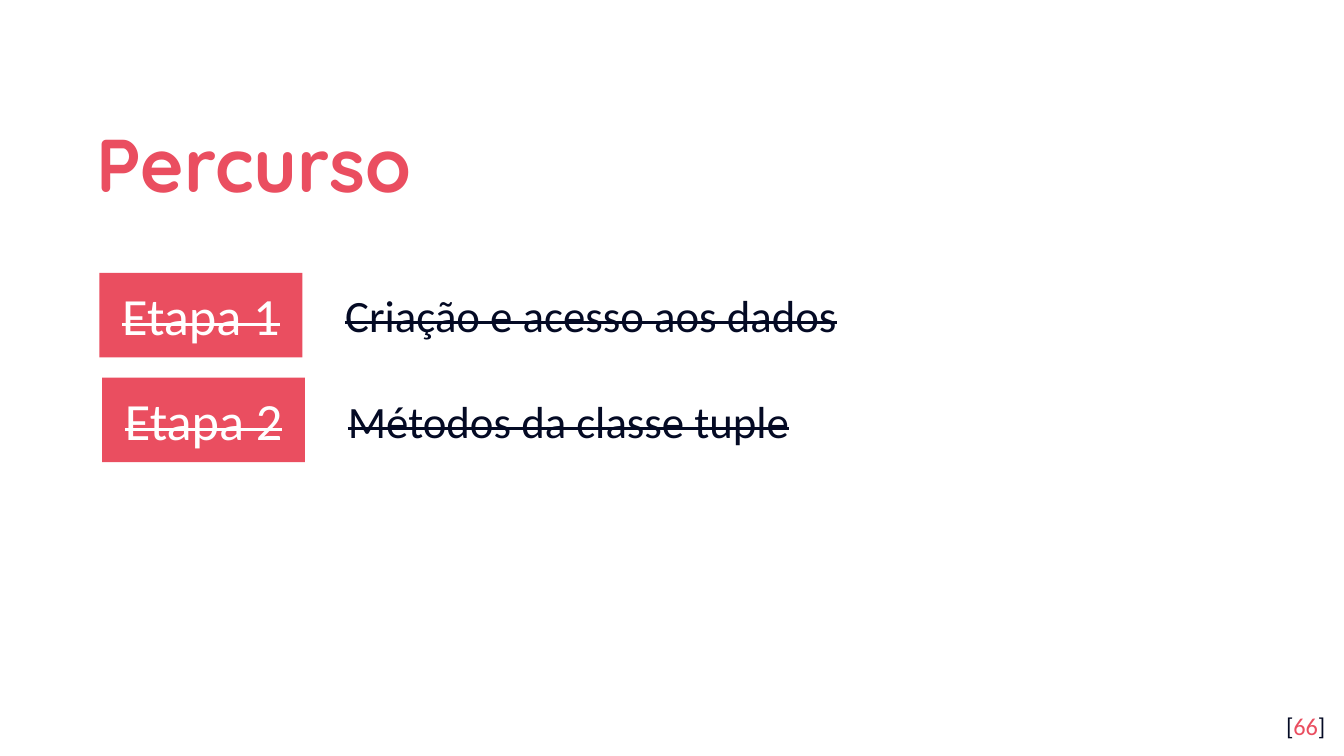
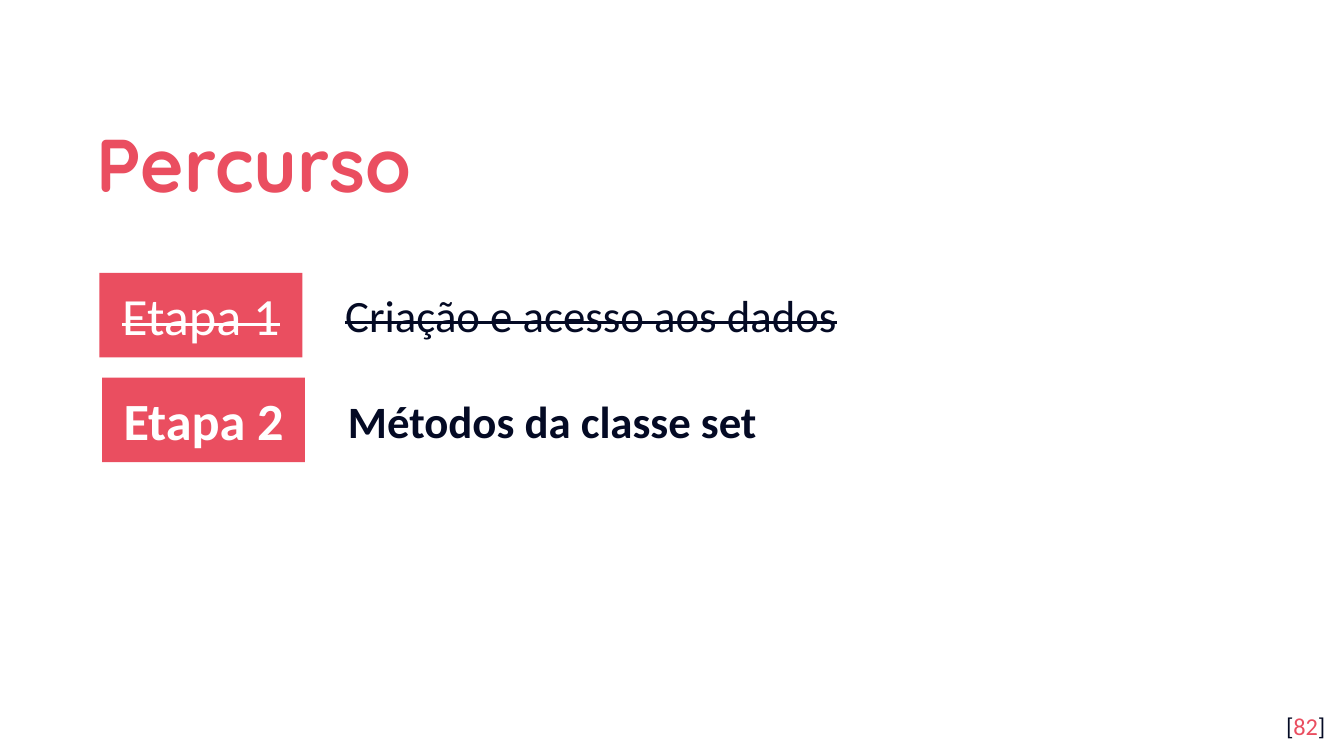
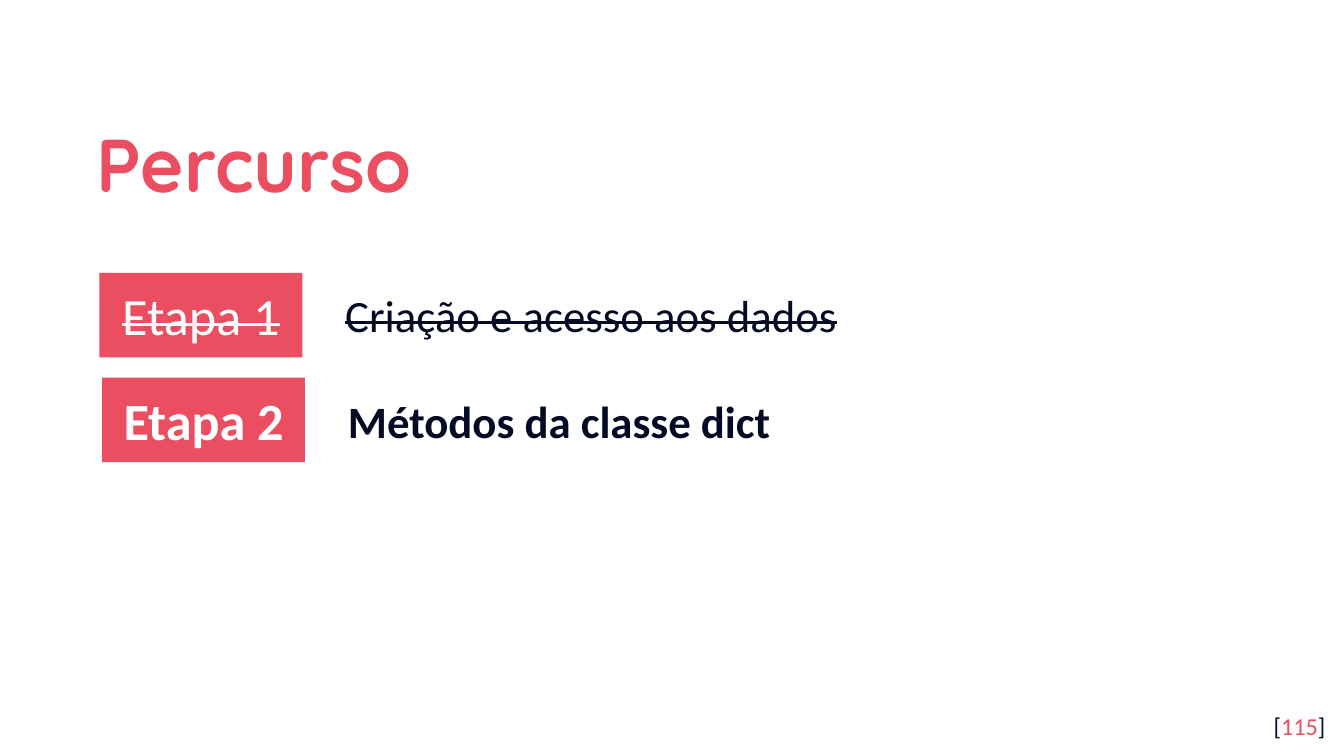
"""Build the three "Percurso" progress slides."""
from dataclasses import dataclass

from pptx import Presentation
from pptx.dml.color import RGBColor
from pptx.enum.shapes import MSO_SHAPE
from pptx.enum.text import MSO_ANCHOR, MSO_AUTO_SIZE, PP_ALIGN
from pptx.slide import Slide
from pptx.text.text import TextFrame, _Paragraph as Paragraph
from pptx.util import Inches, Pt


@dataclass(frozen=True)
class Theme:
    accent: RGBColor = RGBColor.from_string("EA4E60")
    ink: RGBColor = RGBColor.from_string("040A24")
    white: RGBColor = RGBColor.from_string("FFFFFF")
    title_font: str = "Quicksand"
    body_font: str = "Calibri"
    title_size: int = 40
    label_size: int = 28
    topic_size: int = 24
    number_size: int = 13


@dataclass(frozen=True)
class Stage:
    topic: str
    done: bool


@dataclass(frozen=True)
class Page:
    number: int
    stages: tuple[Stage, ...]


THEME = Theme()
FIRST_STAGE = Stage("Criação e acesso aos dados", True)
PAGES = (
    Page(66, (FIRST_STAGE, Stage("Métodos da classe tuple", True))),
    Page(82, (FIRST_STAGE, Stage("Métodos da classe set", False))),
    Page(115, (FIRST_STAGE, Stage("Métodos da classe dict", False))),
)


def set_frame(tf: TextFrame, anchor: MSO_ANCHOR, pad_y: float = 0.1) -> Paragraph:
    tf.word_wrap = True
    tf.auto_size = MSO_AUTO_SIZE.NONE
    tf.vertical_anchor = anchor
    tf.margin_left = tf.margin_right = Inches(0.1)
    tf.margin_top = tf.margin_bottom = Inches(pad_y)
    return tf.paragraphs[0]


def set_font(p: Paragraph, name: str, size: int, color: RGBColor, bold: bool = False) -> None:
    p.font.name = name
    p.font.size = Pt(size)
    p.font.bold = bold
    p.font.color.rgb = color


def write_stage_text(p: Paragraph, text: str, size: int, color: RGBColor, done: bool) -> None:
    set_font(p, THEME.body_font, size, color, bold=not done)
    r = p.add_run()
    r.text = text
    if done:
        r._r.get_or_add_rPr().set("strike", "sngStrike")


def add_title(s: Slide, text: str) -> None:
    sp = s.shapes.title
    sp.left, sp.top, sp.width, sp.height = map(Inches, (0.62, 0.7, 8.1, 0.92))
    p = set_frame(sp.text_frame, MSO_ANCHOR.MIDDLE)
    p.text = text
    p.alignment = PP_ALIGN.LEFT
    p.line_spacing = 1.15
    set_font(p, THEME.title_font, THEME.title_size, THEME.accent, bold=True)


def add_page_number(s: Slide, number: int) -> None:
    sp = s.shapes.add_textbox(*map(Inches, (9.36, 5.19, 0.6, 0.43)))
    p = set_frame(sp.text_frame, MSO_ANCHOR.TOP)
    p.alignment = PP_ALIGN.RIGHT
    set_font(p, THEME.body_font, THEME.number_size, THEME.ink)
    for text, color in (("[", THEME.ink), (str(number), THEME.accent), ("]", THEME.ink)):
        r = p.add_run()
        r.text = text
        r.font.color.rgb = color


def add_stage(s: Slide, index: int, stage: Stage) -> None:
    left = 0.74 + 0.02 * index
    label_top, topic_top = 2.03 + 0.78 * index, 2.09 + 0.79 * index
    sp = s.shapes.add_shape(MSO_SHAPE.RECTANGLE, *map(Inches, (left, label_top, 1.51, 0.63)))
    sp.shadow.inherit = False
    sp.fill.solid()
    sp.fill.fore_color.rgb = THEME.accent
    sp.line.fill.background()
    p = set_frame(sp.text_frame, MSO_ANCHOR.MIDDLE)
    p.alignment = PP_ALIGN.CENTER
    write_stage_text(p, f"Etapa {index + 1}", THEME.label_size, THEME.white, stage.done)

    sp = s.shapes.add_textbox(*map(Inches, (left + 1.73, topic_top, 6.75, 0.5)))
    p = set_frame(sp.text_frame, MSO_ANCHOR.TOP, pad_y=0.05)
    pPr = p._p.get_or_add_pPr()
    pPr.set("marL", str(Inches(0.5)))
    pPr.set("indent", str(Inches(-0.5)))
    write_stage_text(p, stage.topic, THEME.topic_size, THEME.ink, stage.done)


def main() -> None:
    prs = Presentation()
    prs.slide_width = Inches(10)
    prs.slide_height = prs.slide_width * 9 // 16
    for page in PAGES:
        s = prs.slides.add_slide(prs.slide_layouts[5])
        add_title(s, "Percurso")
        add_page_number(s, page.number)
        for index, stage in enumerate(page.stages):
            add_stage(s, index, stage)
    prs.save("out.pptx")


if __name__ == "__main__":
    main()
